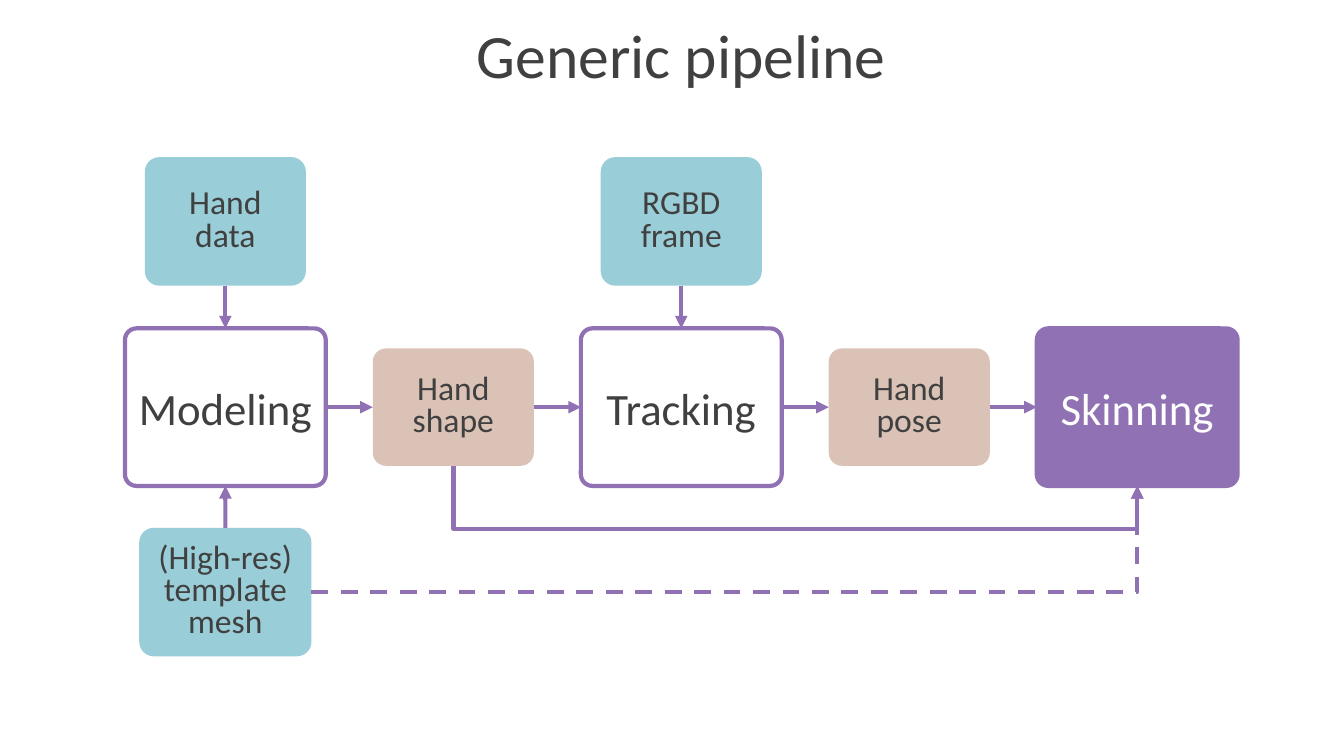
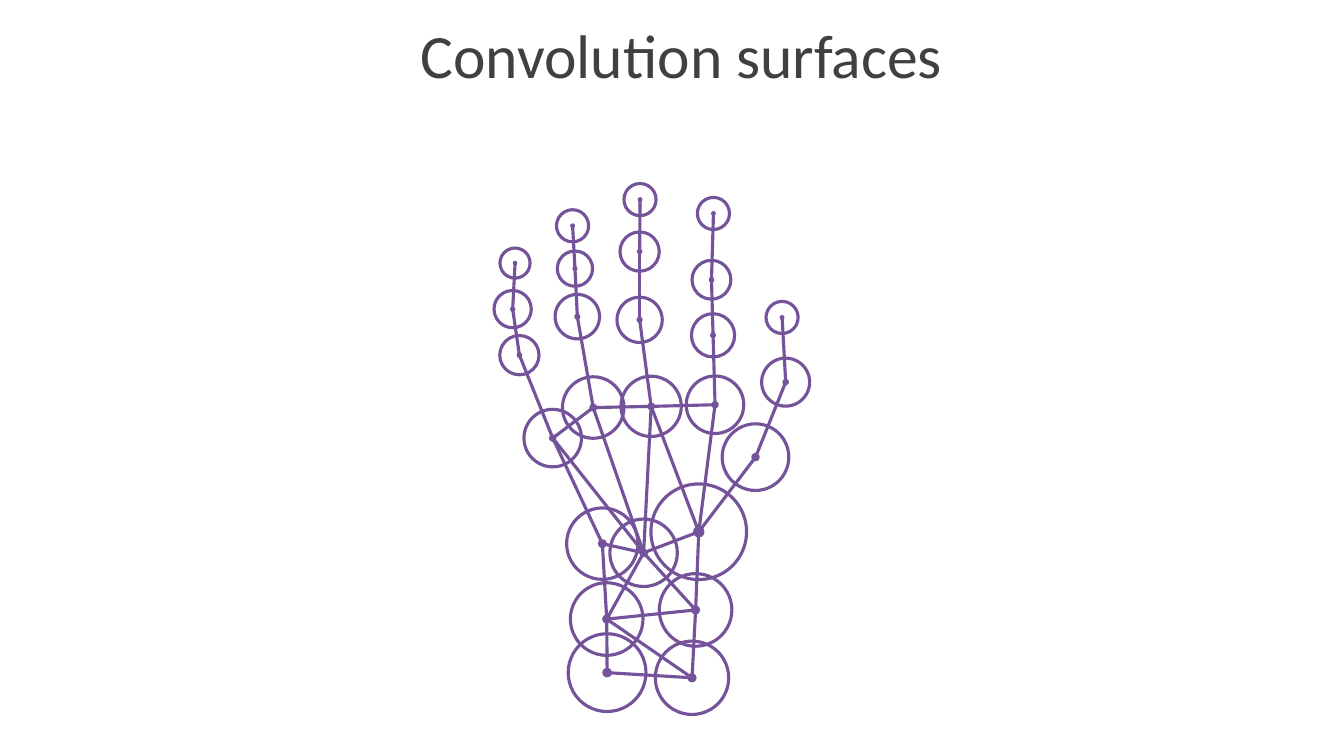
from dataclasses import dataclass
from itertools import pairwise

from lxml import etree
from pptx import Presentation
from pptx.dml.color import RGBColor
from pptx.enum.dml import MSO_LINE
from pptx.enum.shapes import MSO_CONNECTOR, MSO_SHAPE
from pptx.enum.text import MSO_ANCHOR, PP_ALIGN
from pptx.oxml.ns import qn
from pptx.util import Cm, Pt

STRAIGHT, ELBOW = MSO_CONNECTOR.STRAIGHT, MSO_CONNECTOR.ELBOW
ROUNDED, OVAL = MSO_SHAPE.ROUNDED_RECTANGLE, MSO_SHAPE.OVAL
MIDDLE, CENTER, DASH = MSO_ANCHOR.MIDDLE, PP_ALIGN.CENTER, MSO_LINE.DASH
TOP, LEFT, BOTTOM, RIGHT = range(4)  # connection sites of a box

FONT = "Calibri"
COLORS = {
    "text": "404040",
    "white": "FFFFFF",
    "purple": "9071B3",
    "input": "99CDD7",
    "result": "DBC2B7",
    "bone": "75539B",
}


@dataclass(frozen=True)
class BoxStyle:
    width: float
    height: float
    corner: float
    fill: str
    outline: str | None = None
    text: str = "text"
    size: int = 24
    spacing: float = 0.8


@dataclass(frozen=True)
class Box:
    label: str
    x: float  # centre
    y: float
    style: BoxStyle


@dataclass(frozen=True)
class Link:
    start: str
    start_site: int
    end: str
    end_site: int


@dataclass(frozen=True)
class Joint:
    x: float  # centre
    y: float
    diameter: float


# Pipeline grid: three stages, with the results halfway between them
STAGE_X = [5.68 + 11.49 * column for column in range(3)]
RESULT_X = [(a + b) / 2 for a, b in pairwise(STAGE_X)]
INPUT_Y, STAGE_Y, TEMPLATE_Y = 5.58, 10.26, 14.92
DETOUR = 1.58  # drop of the hand shape link below its box

STAGE = BoxStyle(5.06, 3.97, 0.073, "white", "purple", size=32, spacing=1.0)
FINAL_STAGE = BoxStyle(5.06, 3.97, 0.073, "purple", "purple", "white", 32, 1.0)
INPUT = BoxStyle(4.06, 3.24, 0.113, "input")
TEMPLATE = BoxStyle(4.34, 3.24, 0.113, "input")
RESULT = BoxStyle(4.06, 2.96, 0.113, "result")

BOXES = [
    Box("Modeling", STAGE_X[0], STAGE_Y, STAGE),
    Box("Tracking", STAGE_X[1], STAGE_Y, STAGE),
    Box("Skinning", STAGE_X[2], STAGE_Y, FINAL_STAGE),
    Box("(High-res) template mesh", STAGE_X[0], TEMPLATE_Y, TEMPLATE),
    Box("Hand data", STAGE_X[0], INPUT_Y, INPUT),
    Box("Hand shape", RESULT_X[0], STAGE_Y, RESULT),
    Box("Hand pose", RESULT_X[1], STAGE_Y, RESULT),
    Box("RGBD frame", STAGE_X[1], INPUT_Y, INPUT),
]
FLOW = ["Modeling", "Hand shape", "Tracking", "Hand pose", "Skinning"]
LINKS = [
    Link("Hand data", BOTTOM, "Modeling", TOP),
    Link("(High-res) template mesh", TOP, "Modeling", BOTTOM),
    Link("RGBD frame", BOTTOM, "Tracking", TOP),
    *(Link(start, RIGHT, end, LEFT) for start, end in pairwise(FLOW)),
]
TEMPLATE_LINK = Link("(High-res) template mesh", RIGHT, "Skinning", BOTTOM)
SHAPE_LINK = Link("Hand shape", BOTTOM, "Skinning", BOTTOM)

# Hand skeleton: joints, and the chains of bones that run through them
DOT_RATIO = 0.105
JOINTS = {
    "little tip": Joint(12.98, 6.63, 0.76),
    "little middle": Joint(12.92, 7.79, 0.94),
    "little base": Joint(13.09, 8.95, 0.99),
    "little knuckle": Joint(13.93, 11.04, 1.45),
    "ring tip": Joint(14.43, 5.69, 0.81),
    "ring middle": Joint(14.49, 6.77, 0.89),
    "ring base": Joint(14.55, 7.98, 1.12),
    "ring knuckle": Joint(14.95, 10.27, 1.55),
    "middle tip": Joint(16.13, 5.03, 0.81),
    "middle middle": Joint(16.12, 6.34, 0.99),
    "middle base": Joint(16.12, 8.06, 1.14),
    "middle knuckle": Joint(16.41, 10.24, 1.52),
    "index tip": Joint(17.98, 5.38, 0.81),
    "index middle": Joint(17.93, 7.05, 0.98),
    "index base": Joint(17.97, 8.45, 1.09),
    "index knuckle": Joint(18.02, 10.2, 1.45),
    "thumb tip": Joint(19.71, 8.0, 0.81),
    "thumb middle": Joint(19.8, 9.63, 1.21),
    "thumb base": Joint(19.04, 11.52, 1.68),
    "thumb root": Joint(17.61, 13.4, 2.41),
    "palm": Joint(16.22, 13.93, 1.7),
    "heel": Joint(15.18, 13.7, 1.8),
    "wrist left": Joint(15.29, 15.6, 1.83),
    "wrist right": Joint(17.53, 15.37, 1.83),
    "arm left": Joint(15.3, 16.95, 1.96),
    "arm right": Joint(17.44, 17.08, 1.85),
}
FINGERS = [
    [f"{finger} {part}" for part in ("tip", "middle", "base", "knuckle")]
    for finger in ("little", "ring", "middle", "index")
]
BONE_CHAINS = [
    *FINGERS,
    ["thumb tip", "thumb middle", "thumb base", "thumb root"],
    [finger[-1] for finger in FINGERS] + ["thumb root", "palm", "heel"],
    ["little knuckle", "heel", "wrist left", "arm left", "arm right",
     "wrist right", "thumb root", "middle knuckle", "palm"],
    ["little knuckle", "palm", "ring knuckle"],
    ["palm", "wrist left", "wrist right", "palm"],
    ["wrist left", "arm right"],
]


def rgb(name: str) -> RGBColor:
    return RGBColor.from_string(COLORS[name])


def set_text(shape, text: str, size: int, color: str, spacing: float) -> None:
    frame = shape.text_frame
    frame.word_wrap = True
    frame.vertical_anchor = MIDDLE
    frame.text = text
    paragraph = frame.paragraphs[0]
    paragraph.alignment = CENTER
    paragraph.line_spacing = spacing
    font = paragraph.runs[0].font
    font.name, font.size, font.color.rgb = FONT, Pt(size), rgb(color)


def add_titled_slide(presentation, title: str):
    slide = presentation.slides.add_slide(presentation.slide_layouts[6])
    box = slide.shapes.add_textbox(Cm(2.57), Cm(0.25), Cm(29.21), Cm(2.46))
    set_text(box, title, 44, "text", 0.9)
    return slide


def add_centered(slide, kind, x: float, y: float, width: float, height: float):
    shape = slide.shapes.add_shape(
        kind, Cm(x - width / 2), Cm(y - height / 2), Cm(width), Cm(height))
    shape.shadow.inherit = False
    return shape


def style_line(line, color: str, width: float) -> None:
    line.color.rgb = rgb(color)
    line.width = Pt(width)


def add_line(slide, kind, start: tuple, end: tuple, color: str, width: float):
    points = [Cm(value) for value in (*start, *end)]
    connector = slide.shapes.add_connector(kind, *points)
    etree.SubElement(connector._element.spPr, qn("a:effectLst"))
    style_line(connector.line, color, width)
    return connector


def add_box(slide, box: Box):
    style = box.style
    shape = add_centered(slide, ROUNDED, box.x, box.y, style.width, style.height)
    shape.adjustments[0] = style.corner
    shape.fill.solid()
    shape.fill.fore_color.rgb = rgb(style.fill)
    if style.outline:
        style_line(shape.line, style.outline, 3)
    else:
        shape.line.fill.background()
    set_text(shape, box.label, style.size, style.text, style.spacing)
    return shape


def add_link(slide, shapes: dict, link: Link, kind=STRAIGHT):
    connector = add_line(slide, kind, (0, 0), (0, 0), "purple", 3)
    connector.begin_connect(shapes[link.start], link.start_site)
    connector.end_connect(shapes[link.end], link.end_site)
    line = connector.line._get_or_add_ln()
    etree.SubElement(line, qn("a:tailEnd"), type="triangle")
    return connector


def route_below(connector, drop: int) -> None:
    """Turn an elbow so that it leaves downwards and comes back up."""
    begin_x, begin_y = connector.begin_x, connector.begin_y
    run, rise = connector.end_x - begin_x, connector.end_y - begin_y
    # The frame is stored unrotated, around the same centre
    connector.left = begin_x + (run - rise) // 2
    connector.top = begin_y + (rise - run) // 2
    connector.width, connector.height = rise, run
    properties = connector._element.spPr
    frame = properties.find(qn("a:xfrm"))
    frame.set("rot", str(270 * 60000))
    frame.set("flipH", "1")
    frame.set("flipV", "0")
    guides = properties.find(qn("a:prstGeom")).find(qn("a:avLst"))
    etree.SubElement(guides, qn("a:gd"), name="adj1",
                     fmla=f"val {round(100000 * drop / rise)}")


def build_pipeline(presentation) -> None:
    slide = add_titled_slide(presentation, "Generic pipeline")
    shapes = {box.label: add_box(slide, box) for box in BOXES}

    # Dashed link with a single corner
    template_link = add_link(slide, shapes, TEMPLATE_LINK, ELBOW)
    template_link.line.dash_style = DASH
    geometry = template_link._element.spPr.find(qn("a:prstGeom"))
    geometry.set("prst", "bentConnector2")

    # Straight links, then the detour below tracking
    for link in LINKS:
        add_link(slide, shapes, link)
    route_below(add_link(slide, shapes, SHAPE_LINK, ELBOW), Cm(DETOUR))


def build_hand(presentation) -> None:
    slide = add_titled_slide(presentation, "Convolution surfaces")

    # Bones
    for chain in BONE_CHAINS:
        for first, second in pairwise(JOINTS[name] for name in chain):
            add_line(slide, STRAIGHT, (first.x, first.y),
                     (second.x, second.y), "bone", 2.25)

    # Surface circles and joint dots
    for joint in JOINTS.values():
        circle = add_centered(
            slide, OVAL, joint.x, joint.y, joint.diameter, joint.diameter)
        circle.fill.background()
        style_line(circle.line, "bone", 2.25)
        size = joint.diameter * DOT_RATIO
        dot = add_centered(slide, OVAL, joint.x, joint.y, size, size)
        dot.fill.solid()
        dot.fill.fore_color.rgb = rgb("bone")
        style_line(dot.line, "bone", 1)


def main() -> None:
    presentation = Presentation()
    presentation.slide_width, presentation.slide_height = Cm(33.87), Cm(19.05)
    build_pipeline(presentation)
    build_hand(presentation)
    presentation.save("out.pptx")


if __name__ == "__main__":
    main()
